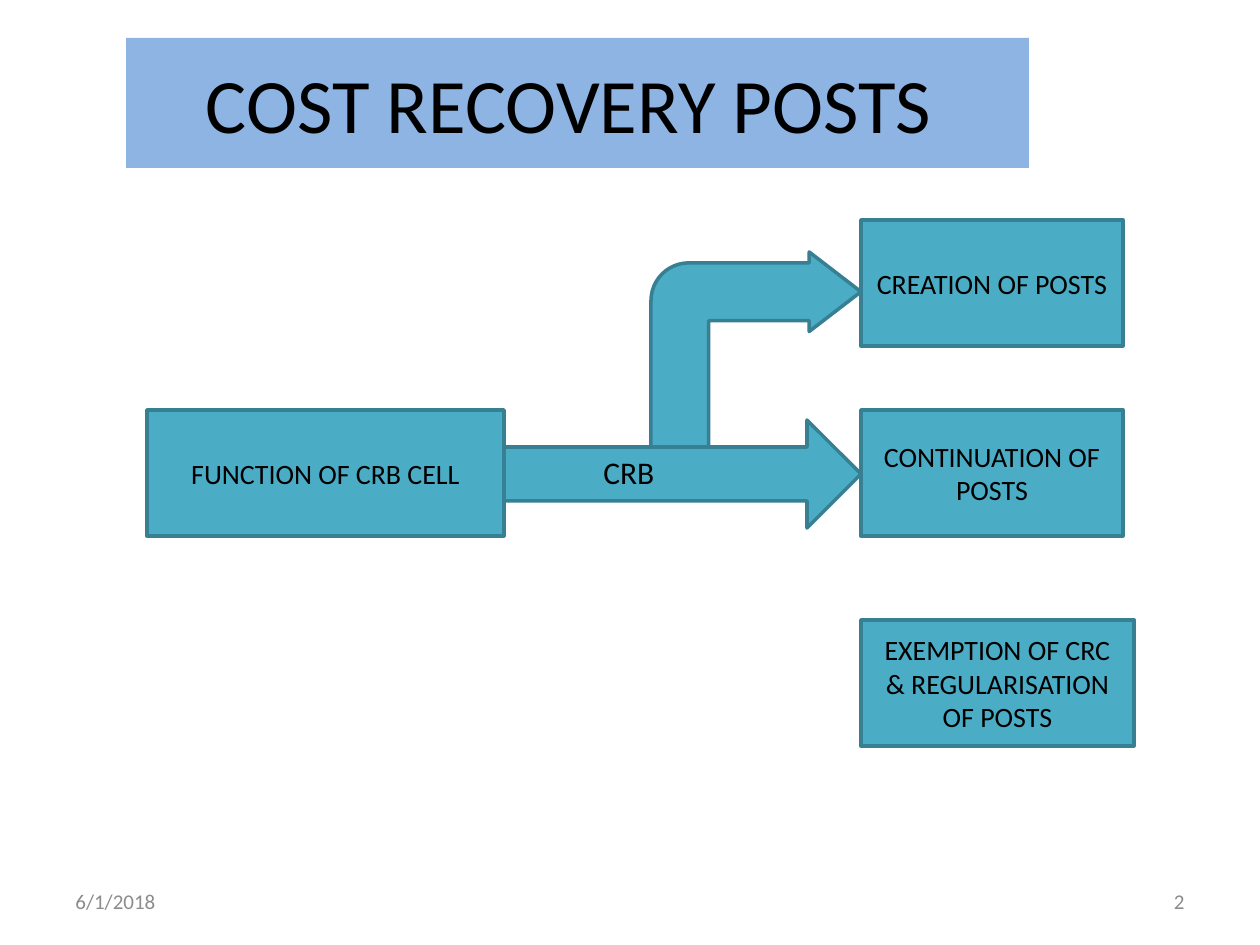
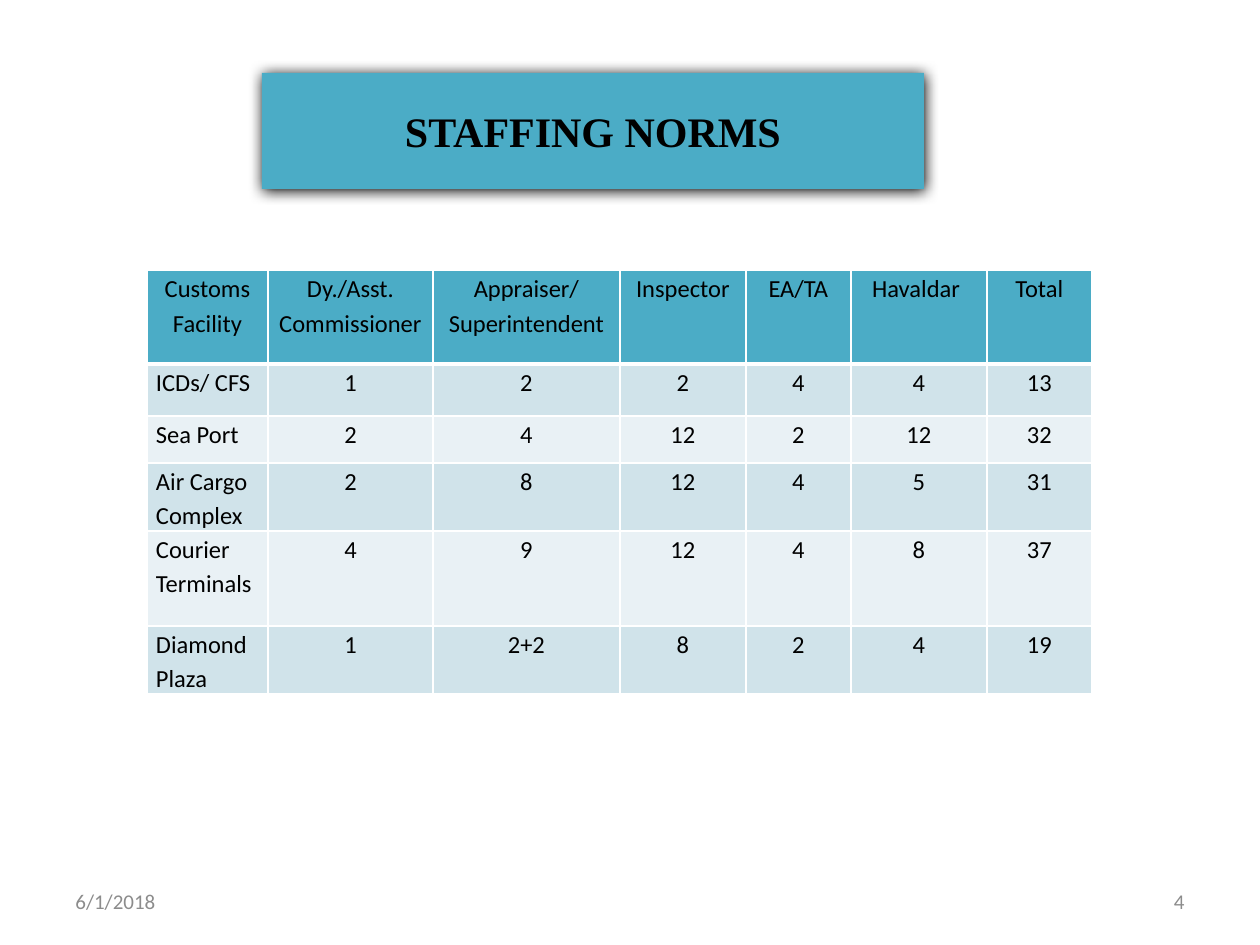
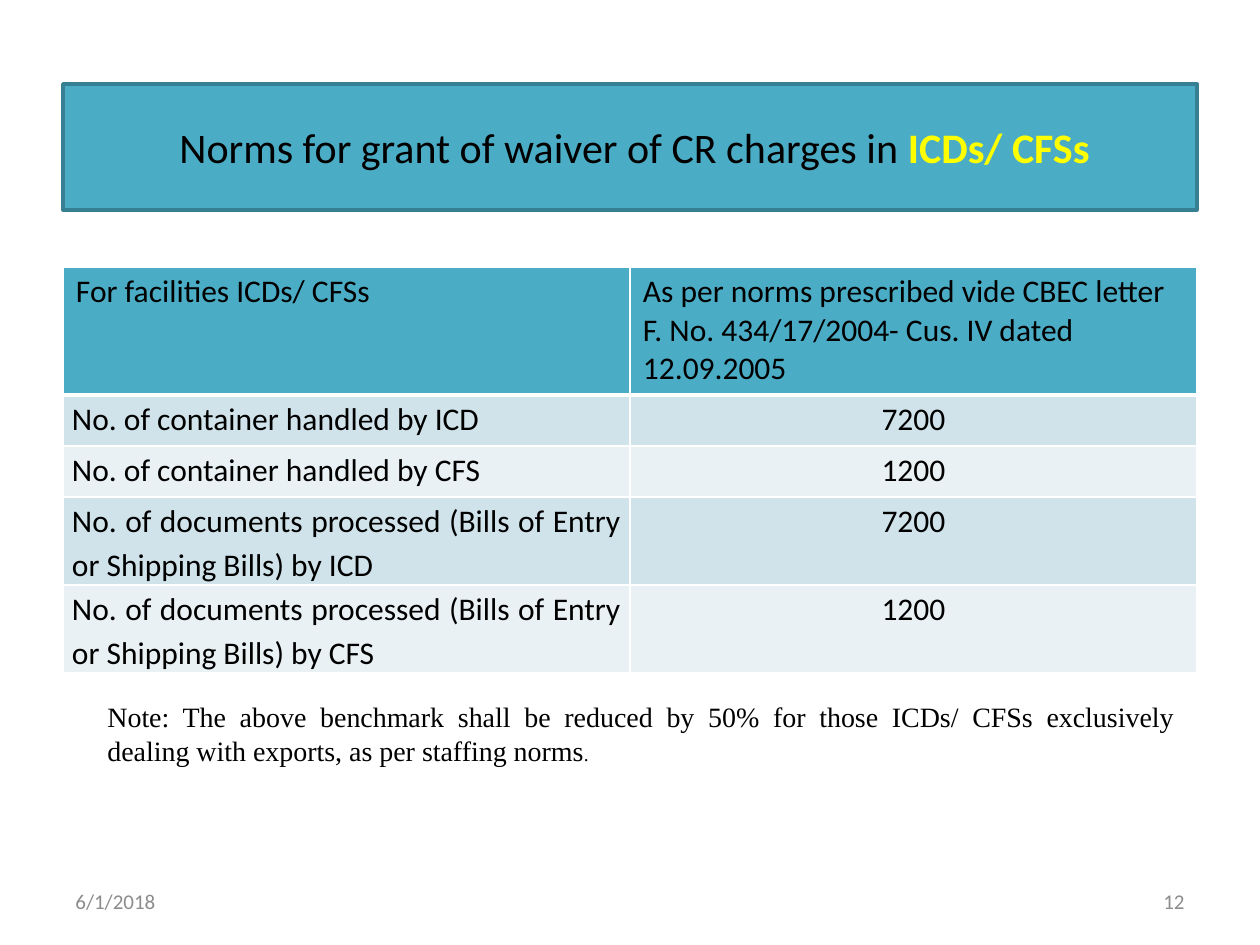
import dataclasses

import pptx
import pptx.dml.color
import pptx.enum.shapes
import pptx.enum.text
import pptx.oxml
import pptx.oxml.ns
import pptx.util

SHAPE = pptx.enum.shapes.MSO_SHAPE
ALIGN = pptx.enum.text.PP_ALIGN
ANCHOR = pptx.enum.text.MSO_ANCHOR
EMU_PER_PX = 914400 // 126


@dataclasses.dataclass(frozen=True)
class Theme:
    teal: str = "4BACC6"
    teal_edge: str = "377F92"
    band_blue: str = "8EB4E3"
    stripes: tuple = ("D0E3EA", "E9F1F5")
    white: str = "FFFFFF"
    ink: str = "000000"
    muted: str = "8C8C8C"
    accent: str = "FFFF00"
    sans: str = "Calibri"
    serif: str = "Times New Roman"
    display: int = 44
    heading: int = 24
    large: int = 18
    body: int = 16
    table: int = 14
    footer: int = 12
    fine: int = 11
    edge_width: int = 2


def px(length):
    return pptx.util.Emu(length * EMU_PER_PX)


def color(value):
    return pptx.dml.color.RGBColor.from_string(value)


class SlideBuilder:
    def __init__(self, deck, theme):
        self.deck, self.theme = deck, theme
        self.page = None

    def new_page(self, number):
        self.page = self.deck.slides.add_slide(self.deck.slide_layouts[6])
        for left, text, align in ((63, "6/1/2018", ALIGN.LEFT), (903, number, ALIGN.RIGHT)):
            self.text((left, 876, 294, 50), text, self.theme.footer, align,
                      ink=self.theme.muted)

    def add_spans(self, frame, spans, size, align, **style):
        """Fill one paragraph; spans is a string or a list of (text, style changes)."""
        para = frame.paragraphs[0]
        para.alignment = align
        for text, changes in [(spans, {})] if isinstance(spans, str) else spans:
            look = {"size": size, "font": self.theme.sans, "ink": self.theme.ink,
                    "bold": False, **style, **changes}
            span = para.add_run()
            span.text = text
            span.font.size = pptx.util.Pt(look["size"])
            span.font.name = look["font"]
            span.font.bold = look["bold"]
            span.font.color.rgb = color(look["ink"])
        return para

    def text(self, place, spans, size, align, wrap=True, grow=False, **style):
        box = self.page.shapes.add_textbox(*map(px, place))
        frame = box.text_frame
        frame.word_wrap = wrap
        frame.vertical_anchor = ANCHOR.MIDDLE
        if grow:
            frame.auto_size = pptx.enum.text.MSO_AUTO_SIZE.SHAPE_TO_FIT_TEXT
        self.add_spans(frame, spans, size, align, **style)

    def shape(self, place, kind=SHAPE.RECTANGLE, fill=None, edged=True, adjustments=()):
        figure = self.page.shapes.add_shape(kind, *map(px, place))
        figure.shadow.inherit = False
        figure.fill.solid()
        figure.fill.fore_color.rgb = color(fill or self.theme.teal)
        if edged:
            figure.line.color.rgb = color(self.theme.teal_edge)
            figure.line.width = pptx.util.Pt(self.theme.edge_width)
        else:
            figure.line.fill.background()
        for index, value in enumerate(adjustments):
            figure.adjustments[index] = value
        return figure

    def box(self, place, spans, size, style=None, **look):
        box = self.shape(place, **look)
        box.text_frame.word_wrap = True
        box.text_frame.vertical_anchor = ANCHOR.MIDDLE
        self.add_spans(box.text_frame, spans, size, ALIGN.CENTER, **(style or {}))
        return box

    def drop_shadow(self, figure):
        effects = figure._element.spPr.find(pptx.oxml.ns.qn("a:effectLst"))
        effects.append(pptx.oxml.parse_xml(
            f'<a:outerShdw {pptx.oxml.ns.nsdecls("a")} blurRad="107950" dist="12700" '
            f'dir="5400000" rotWithShape="0"><a:srgbClr val="{self.theme.ink}"/></a:outerShdw>'))

    def cell_borders(self, cell, bottom):
        for side, points in (("L", 1), ("R", 1), ("T", 1), ("B", bottom)):
            cell._tc.get_or_add_tcPr().append(pptx.oxml.parse_xml(
                f'<a:ln{side} {pptx.oxml.ns.nsdecls("a")} w="{points * 12700}"><a:solidFill>'
                f'<a:srgbClr val="{self.theme.white}"/></a:solidFill></a:ln{side}>'))

    def table(self, corner, widths, heights, rows, size, header_align, label_align,
              roomy_header=False):
        place = (*corner, sum(widths), sum(heights))
        grid = self.page.shapes.add_table(len(rows), len(widths), *map(px, place)).table
        grid.first_row = grid.horz_banding = False
        for column, width in zip(grid.columns, widths):
            column.width = px(width)
        for line, height in zip(grid.rows, heights):
            line.height = px(height)
        for r, row in enumerate(rows):
            for c, text in enumerate(row):
                cell, header = grid.cell(r, c), r == 0
                self.cell_borders(cell, bottom=3 if header else 1)
                cell.fill.solid()
                cell.fill.fore_color.rgb = color(
                    self.theme.teal if header else self.theme.stripes[(r - 1) % 2])
                align = header_align if header else ALIGN.CENTER if c else label_align
                para = self.add_spans(cell.text_frame, text, size, align)
                if header and roomy_header:
                    cell.margin_left = cell.margin_right = px(13)
                    cell.margin_top = cell.margin_bottom = px(6)
                else:
                    cell.margin_left = cell.margin_right = px(9)
                    cell.margin_top = cell.margin_bottom = 0
                    para.line_spacing = 1.15


def cost_recovery_posts(builder):
    theme = builder.theme
    builder.new_page("2")
    builder.box((126, 38, 903, 130), "COST RECOVERY POSTS ", theme.display,
                fill=theme.band_blue, edged=False)
    # Function and its outcomes
    for left, top, width, label in (
            (147, 410, 357, "FUNCTION OF CRB CELL"),
            (861, 220, 262, "CREATION OF POSTS"),
            (861, 620, 273, "EXEMPTION OF CRC & REGULARISATION OF POSTS"),
            (861, 410, 262, "CONTINUATION OF POSTS")):
        builder.box((left, top, width, 126), label, theme.body)
    # Block arrows
    builder.shape((651, 252, 210, 199), SHAPE.BENT_ARROW,
                  adjustments=(0.29, 0.2, 0.26, 0.19))
    builder.shape((504, 420, 357, 108), SHAPE.RIGHT_ARROW)
    builder.text((591, 447, 77, 50), "CRB", theme.large, ALIGN.LEFT, wrap=False, grow=True)


def staffing_norms(builder):
    theme = builder.theme
    builder.new_page("4")
    title = builder.box((262, 73, 662, 116), "STAFFING NORMS", theme.heading,
                        {"font": theme.serif, "bold": True}, edged=False)
    builder.drop_shadow(title)
    rows = (
        ("Customs Facility", "Dy./Asst. Commissioner", "Appraiser/ Superintendent",
         "Inspector", "EA/TA", "Havaldar ", "Total"),
        ("ICDs/ CFS", "1", "2", "2", "4", "4", "13"),
        ("Sea Port", "2", "4", "12", "2", "12", "32"),
        ("Air Cargo Complex", "2", "8", "12", "4", "5", "31"),
        ("Courier Terminals", "4", "9", "12", "4", "8", "37"),
        ("Diamond Plaza", "1", "2+2", "8", "2", "4", "19"))
    builder.table((147, 270), (121, 165, 187, 126, 105, 136, 105),
                  (94, 52, 47, 68, 95, 68), rows, theme.table, ALIGN.CENTER, ALIGN.LEFT)


def waiver_norms(builder):
    theme = builder.theme
    builder.new_page("12")
    title = builder.box((63, 84, 1134, 126), [
        ("Norms for grant of waiver of CR charges in ", {}),
        ("ICDs/ CFSs ", {"ink": theme.accent, "bold": True})], theme.heading)
    title.text_frame.margin_left = px(31)
    rows = (
        ("For facilities ICDs/ CFSs",
         "As per norms prescribed vide CBEC letter F. No. 434/17/2004- Cus. IV dated 12.09.2005"),
        ("No. of container handled by ICD", "7200"),
        ("No. of container handled by CFS", "1200"),
        ("No. of documents processed (Bills of Entry or Shipping Bills) by ICD", "7200"),
        ("No. of documents processed (Bills of Entry or Shipping Bills) by CFS", "1200"))
    builder.table((63, 267), (567, 567), (128, 51, 51, 88, 88), rows, theme.large,
                  ALIGN.LEFT, ALIGN.JUSTIFY, roomy_header=True)
    builder.text((95, 693, 1092, 81), [
        ("Note: The above benchmark shall be reduced by 50% for those ICDs/ CFSs exclusively "
         "dealing with exports, as per staffing norms", {}),
        (".", {"size": theme.fine})], theme.body, ALIGN.JUSTIFY, grow=True, font=theme.serif)


def main():
    deck = pptx.Presentation()
    deck.slide_width, deck.slide_height = px(1260), px(945)
    builder = SlideBuilder(deck, Theme())
    cost_recovery_posts(builder)
    staffing_norms(builder)
    waiver_norms(builder)
    deck.save("out.pptx")


if __name__ == "__main__":
    main()
